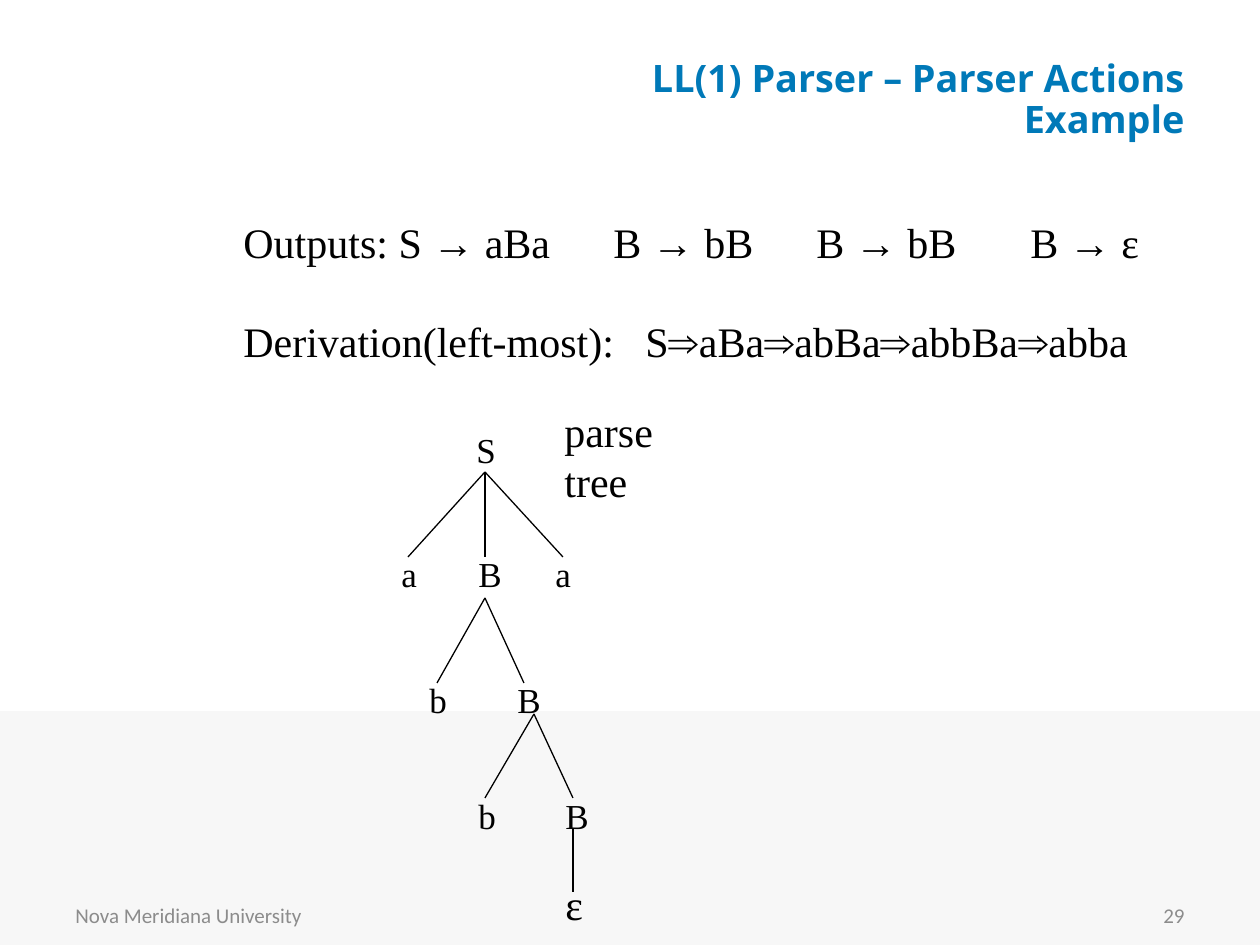
from typing import NamedTuple

from lxml import etree
from pptx import Presentation
from pptx.dml.color import RGBColor
from pptx.enum.shapes import MSO_CONNECTOR, MSO_SHAPE
from pptx.enum.text import MSO_ANCHOR, PP_ALIGN
from pptx.oxml.ns import qn
from pptx.util import Pt

SCALE = 914400 // 126
LEFT, RIGHT = PP_ALIGN.LEFT, PP_ALIGN.RIGHT
TOP, MIDDLE = MSO_ANCHOR.TOP, MSO_ANCHOR.MIDDLE
STRAIGHT, RECT = MSO_CONNECTOR.STRAIGHT, MSO_SHAPE.RECTANGLE

BODY = {"name": "Times New Roman", "size": Pt(24)}
NODE = {"name": "Times New Roman", "size": Pt(20)}
FOOT = {"name": "Calibri", "size": Pt(12)}
HEAD = {"name": "Open Sans", "size": Pt(21.6), "bold": True}


class Line(NamedTuple):
    """One paragraph with its tab stops."""
    text: str
    tabs: tuple[int, ...] = ()
    para: dict = {}


class Label(NamedTuple):
    """A text box and its format."""
    box: tuple[int, int, int, int]
    lines: list[Line]
    font: dict
    tint: str = "000000"
    align: int = LEFT
    anchor: int = TOP
    wrap: bool = True


class Node(NamedTuple):
    """A symbol of the parse tree."""
    text: str
    left: int
    top: int
    width: int


class Branch(NamedTuple):
    """A point of the tree and the ends of its edges."""
    start: tuple[int, int]
    ends: list[int]
    foot: int


def px(size: int) -> int:
    """Turn pixels into EMU."""
    return size * SCALE


def color(code: str) -> RGBColor:
    """Turn a hex string into a colour."""
    return RGBColor.from_string(code)


def style(target: object, values: dict) -> None:
    """Set each format value on the target."""
    for key, value in values.items():
        setattr(target, key, value)


def add_label(shapes, label: Label) -> None:
    """Draw a text box."""
    frame = shapes.add_textbox(*map(px, label.box)).text_frame
    style(frame, {"word_wrap": label.wrap, "vertical_anchor": label.anchor})
    for index, line in enumerate(label.lines):
        para = frame.add_paragraph() if index else frame.paragraphs[0]
        style(para, {"alignment": label.align, **line.para})
        if line.tabs:
            stops = etree.SubElement(para._p.get_or_add_pPr(), qn("a:tabLst"))
            for stop in line.tabs:
                etree.SubElement(stops, qn("a:tab"), pos=str(px(stop)), algn="l")
        run = para.add_run()
        run.text = line.text
        style(run.font, label.font)
        run.font.color.rgb = color(label.tint)


def add_edges(shapes, branch: Branch) -> None:
    """Draw the edges that leave one point."""
    for end in branch.ends:
        edge = shapes.add_connector(
            STRAIGHT, *map(px, (*branch.start, end, branch.foot)))
        edge.line.width = Pt(0.75)
        edge.line.color.rgb = color("000000")
        etree.SubElement(edge._element.spPr, qn("a:effectLst"))


def add_band(shapes) -> None:
    """Draw the grey band at the foot of the slide."""
    band = shapes.add_shape(RECT, *map(px, (0, 711, 1260, 234)))
    band.shadow.inherit = False
    band.fill.solid()
    band.fill.fore_color.rgb = color("F7F7F7")
    band.line.fill.background()


TIGHT = {"line_spacing": 0.9}
LABELS = [
    Label((231, 210, 987, 217), [
        Line("Outputs: S → aBa\tB → bB\tB → bB\tB → ε", (370, 573, 787)),
        Line("Derivation(left-most):\tS⇒aBa⇒abBa⇒abbBa⇒abba", (402,),
             {"space_before": Pt(28)}),
    ], BODY),
    Label((552, 399, 173, 63), [Line("parse tree")], BODY),
    Label((63, 890, 294, 50), [Line("Nova Meridiana University")], FOOT,
          "8C8C8C", anchor=MIDDLE),
    Label((903, 890, 294, 50), [Line("29")], FOOT, "8C8C8C", RIGHT, MIDDLE),
    Label((494, 53, 703, 95), [
        Line("LL(1) Parser – Parser Actions", para=TIGHT),
        Line("Example", para=TIGHT),
    ], HEAD, "0079B8", RIGHT, MIDDLE),
]
BRANCHES = [
    Branch((485, 472), [408, 485, 563], 557),
    Branch((485, 598), [437, 524], 683),
    Branch((534, 714), [485, 573], 798),
    Branch((573, 829), [573], 892),
]
NODES = [
    Node("S", 464, 422, 42),
    Node("a", 389, 546, 38), Node("B", 466, 546, 45), Node("a", 543, 546, 38),
    Node("b", 417, 672, 39), Node("B", 505, 672, 45),
    Node("b", 466, 788, 39), Node("B", 553, 788, 45),
    Node("ε", 553, 872, 40),
]


def main() -> None:
    """Build and save the slide."""
    deck = Presentation()
    style(deck, {"slide_width": px(1260), "slide_height": px(945)})
    shapes = deck.slides.add_slide(deck.slide_layouts[6]).shapes
    add_band(shapes)
    for branch in BRANCHES:
        add_edges(shapes, branch)
    for node in NODES:
        font, height = (BODY, 63) if node.text == "ε" else (NODE, 54)
        box = (node.left, node.top, node.width, height)
        add_label(shapes, Label(box, [Line(node.text)], font, wrap=False))
    for label in LABELS:
        add_label(shapes, label)
    deck.save("out.pptx")


main()
